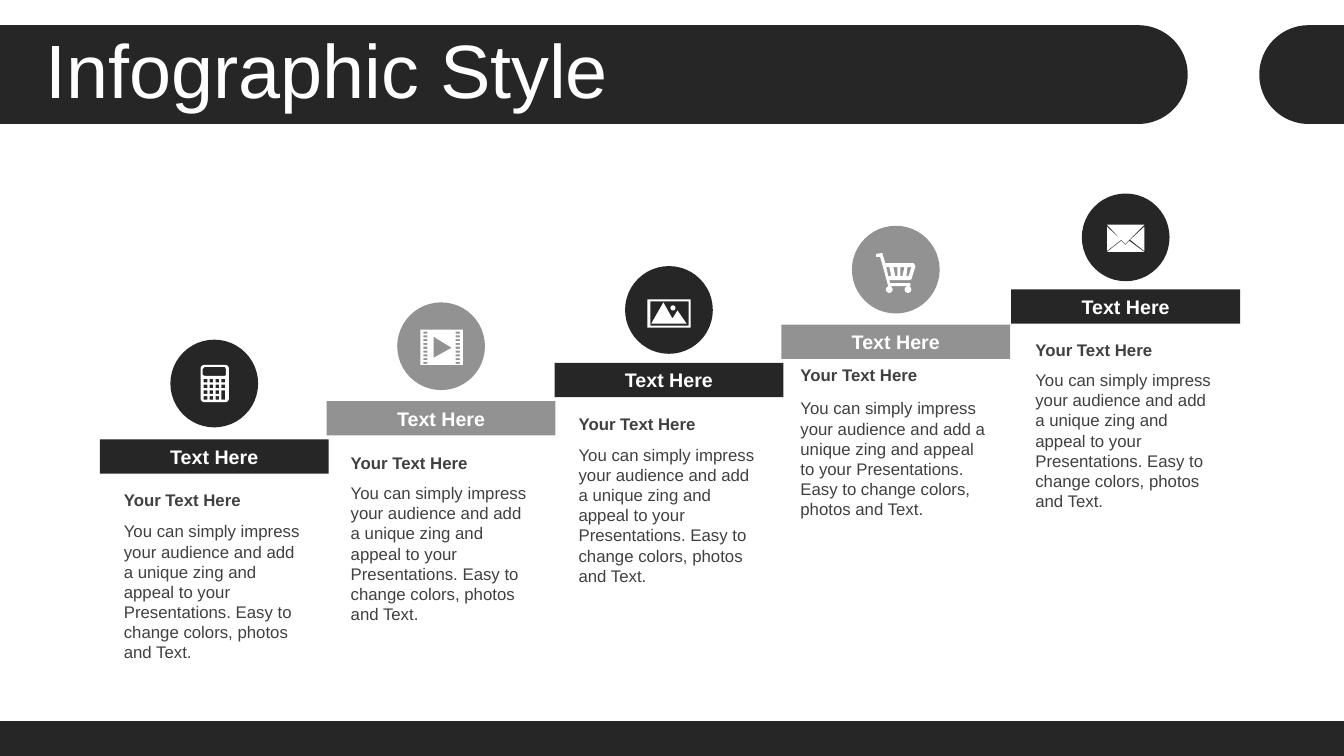
from math import cos, pi, sin

from pptx import Presentation
from pptx.dml.color import RGBColor
from pptx.enum.shapes import MSO_SHAPE
from pptx.enum.text import MSO_ANCHOR, PP_ALIGN
from pptx.util import Inches, Pt

DARK = RGBColor(0x26, 0x26, 0x26)
GREY = RGBColor(0x92, 0x92, 0x92)
TEXT = RGBColor(0x40, 0x40, 0x40)
WHITE = RGBColor(0xFF, 0xFF, 0xFF)

BODY = ("You can simply impress your audience and add a unique zing and appeal "
        "to your Presentations. Easy to change colors, photos and Text.")

presentation = Presentation()
presentation.slide_width = Inches(13.33)
presentation.slide_height = Inches(7.5)
slide = presentation.slides.add_slide(presentation.slide_layouts[6])
shapes = slide.shapes


def box(left, top, width, height):
    right, bottom = left + width, top + height
    return [(left, top), (right, top), (right, bottom), (left, bottom)]


def draw(contours, color):
    """Fill closed contours as one outline; inner contours become holes."""
    builder = None
    for contour in contours:
        start, *rest = [(Inches(x), Inches(y)) for x, y in contour]
        if builder is None:
            builder = shapes.build_freeform(*start)
        else:
            builder.move_to(*start)
        builder.add_line_segments(rest, close=True)
    outline = builder.convert_to_shape()
    outline.shadow.inherit = False
    outline.fill.solid()
    outline.fill.fore_color.rgb = color
    outline.line.fill.background()


# Header bands with round ends, and footer band
arc = [(0.49 * sin(pi * i / 48), -0.49 * cos(pi * i / 48)) for i in range(49)]
draw([[(0, 0.25)] + [(11.29 + x, 0.74 + y) for x, y in arc] + [(0, 1.23)]], DARK)
draw([[(13.33, 0.25)] + [(12.98 - x, 0.74 + y) for x, y in arc] + [(13.33, 1.23)]], DARK)
draw([box(0, 7.15, 13.33, 0.35)], DARK)

# Title
title = shapes.add_textbox(Inches(0.35), Inches(0.34), Inches(12.66), Inches(0.79))
title.text_frame.word_wrap = True
title.text_frame.vertical_anchor = MSO_ANCHOR.MIDDLE
title_line = title.text_frame.paragraphs[0]
title_line.text = "Infographic Style"
title_line.line_spacing = 0.9
title_line.font.size = Pt(54)
title_line.font.name = "Arial"
title_line.font.color.rgb = WHITE

# Rising steps: bar left, circle top, bar top, text left, heading top, body top, text width
steps = [
    (0.99, 3.37, 4.36, 1.13, 4.81, 5.12, 1.99, DARK),
    (3.24, 3.00, 3.98, 3.38, 4.44, 4.74, 1.99, GREY),
    (5.50, 2.64, 3.60, 5.64, 4.06, 4.36, 1.99, DARK),
    (7.75, 2.24, 3.22, 7.84, 3.57, 3.90, 2.08, GREY),
    (10.03, 1.92, 2.87, 10.17, 3.32, 3.62, 1.99, DARK),
]
for (bar_left, circle_top, bar_top, text_left,
     heading_top, body_top, text_width, color) in steps:
    bar = shapes.add_shape(MSO_SHAPE.RECTANGLE, Inches(bar_left), Inches(bar_top),
                           Inches(2.27), Inches(0.34))
    circle = shapes.add_shape(MSO_SHAPE.OVAL, Inches(bar_left + 0.7), Inches(circle_top),
                              Inches(0.87), Inches(0.87))
    for part in (bar, circle):
        part.shadow.inherit = False
        part.fill.solid()
        part.fill.fore_color.rgb = color
        part.line.fill.background()
    bar.text_frame.vertical_anchor = MSO_ANCHOR.MIDDLE

    heading = shapes.add_textbox(Inches(text_left), Inches(heading_top),
                                 Inches(text_width), Inches(0.3))
    body = shapes.add_textbox(Inches(text_left), Inches(body_top),
                              Inches(text_width), Inches(1.51))
    for part, words, size, bold, ink, alignment in (
        (bar, "Text Here", 14, True, WHITE, PP_ALIGN.CENTER),
        (heading, "Your Text Here", 12, True, TEXT, PP_ALIGN.LEFT),
        (body, BODY, 12, False, TEXT, PP_ALIGN.LEFT),
    ):
        part.text_frame.word_wrap = True
        paragraph = part.text_frame.paragraphs[0]
        paragraph.text = words
        paragraph.alignment = alignment
        paragraph.font.name = "Arial"
        paragraph.font.size = Pt(size)
        paragraph.font.bold = bold
        paragraph.font.color.rgb = ink

# Calculator icon: case, display and keys, with one double-height key
case = [(2.02, 3.62), (2.24, 3.62), (2.26, 3.63), (2.27, 3.65), (2.27, 3.96),
        (2.26, 3.98), (2.24, 3.99), (2.02, 3.99), (2.0, 3.98), (1.99, 3.96),
        (1.99, 3.65), (2.0, 3.63)]
display = [(2.03, 3.64), (2.23, 3.64), (2.24, 3.66), (2.24, 3.72), (2.23, 3.73),
           (2.03, 3.73), (2.01, 3.72), (2.01, 3.66)]
keys = [box(2.02 + 0.059 * column, 3.76 + 0.057 * row, 0.036, 0.034)
        for row in range(4) for column in range(4) if column < 3 or row < 2]
draw([case, display, box(2.197, 3.874, 0.036, 0.091)] + keys, WHITE)

# Film icon: frame, play mark and perforations
perforations = [box(left, 3.29 + 0.0375 * row, 0.04, 0.02)
                for left in (4.2, 4.52) for row in range(9)]
play = [(4.3, 3.34), (4.3, 3.55), (4.48, 3.45)]
draw([box(4.17, 3.27, 0.42, 0.35), play] + perforations, WHITE)

# Photo icon: frame, mountains and sun
unit_circle = [(cos(pi * i / 12), sin(pi * i / 12)) for i in range(24)]
mountains = [(6.58, 3.0), (6.67, 3.16), (6.72, 3.08), (6.81, 3.21), (6.46, 3.21)]
sun = [(6.675 + 0.025 * x, 3.055 + 0.025 * y) for x, y in unit_circle]
draw([box(6.42, 2.97, 0.43, 0.28), box(6.45, 2.99, 0.38, 0.24), mountains, sun], WHITE)

# Cart icon: body, basket slots and wheels
cart = [(8.69, 2.52), (8.75, 2.51), (8.78, 2.61), (9.06, 2.61), (9.08, 2.64),
        (9.04, 2.77), (9.02, 2.78), (8.82, 2.78), (8.83, 2.81), (9.03, 2.81),
        (9.03, 2.84), (8.81, 2.84), (8.73, 2.55), (8.69, 2.55)]
slots = [
    [(8.79, 2.65), (8.82, 2.65), (8.84, 2.74), (8.81, 2.74)],
    [(8.86, 2.65), (8.90, 2.65), (8.90, 2.74), (8.88, 2.74)],
    [(8.93, 2.65), (8.97, 2.65), (8.95, 2.74), (8.93, 2.74)],
    [(9.00, 2.65), (9.04, 2.65), (9.01, 2.74), (8.99, 2.74)],
]
wheels = [[(center + 0.033 * x, 2.873 + 0.033 * y) for x, y in unit_circle]
          for center in (8.82, 9.005)]
draw([cart] + slots + wheels, WHITE)

# Envelope icon: bottom, right and left folds, then flap
draw([
    [(11.2, 2.39), (11.35, 2.5), (10.98, 2.5), (11.12, 2.39), (11.16, 2.43)],
    [(11.35, 2.25), (11.35, 2.49), (11.21, 2.38)],
    [(10.98, 2.25), (11.12, 2.38), (10.98, 2.49)],
    [(10.98, 2.23), (11.35, 2.23), (11.16, 2.42)],
], WHITE)

presentation.save("out.pptx")
